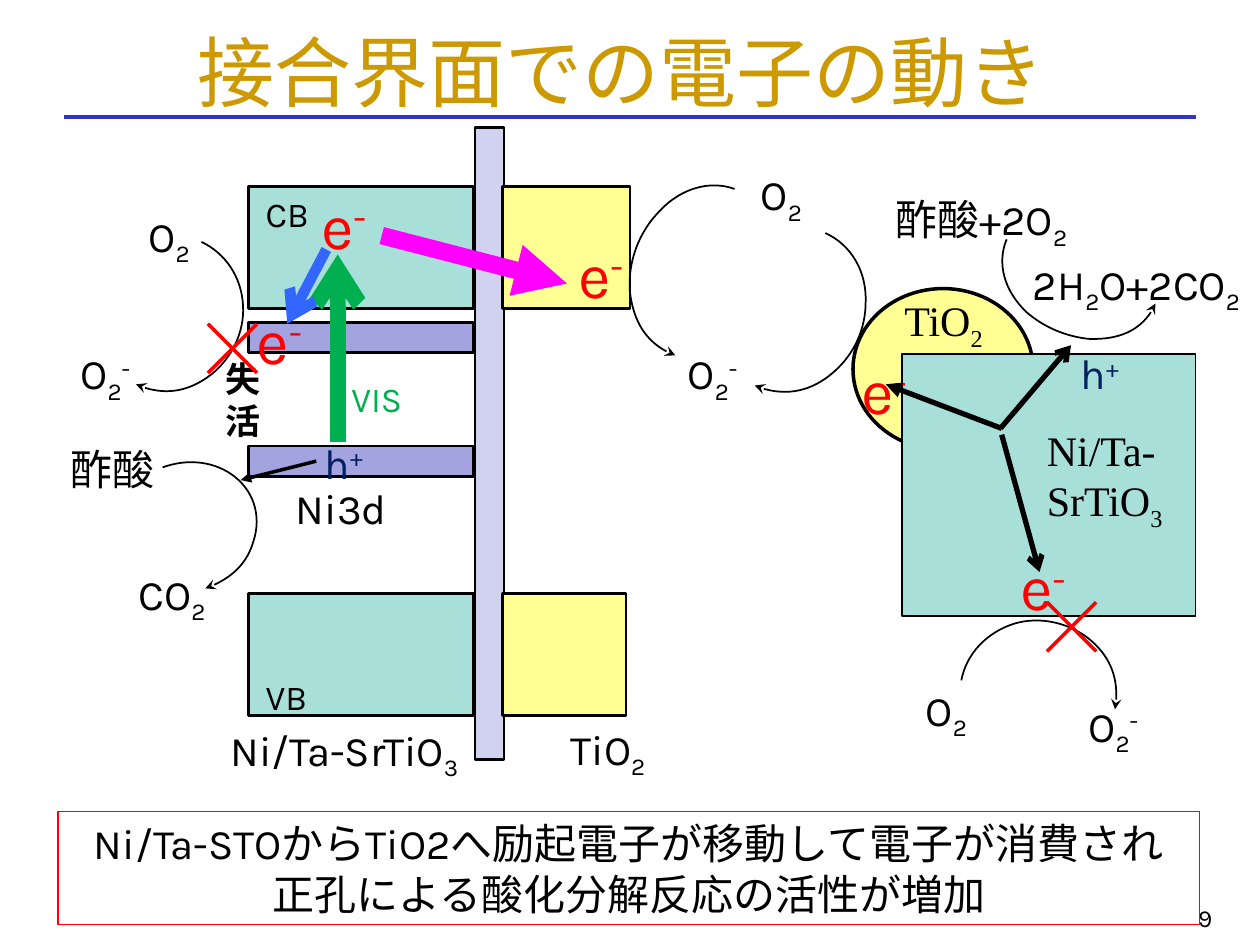
from dataclasses import dataclass
from typing import Iterator, NamedTuple

from lxml.etree import SubElement
from pptx import Presentation
from pptx.dml.color import RGBColor
from pptx.enum.shapes import MSO_CONNECTOR, MSO_SHAPE
from pptx.enum.text import MSO_ANCHOR, MSO_AUTO_SIZE, PP_ALIGN
from pptx.oxml.ns import qn
from pptx.util import Inches, Pt


@dataclass(frozen=True)
class Theme:
    black: str = "000000"
    gold: str = "CC9900"
    rule: str = "3333CC"
    teal: str = "A9DFD9"
    yellow: str = "FFFF93"
    lilac: str = "D1D1F0"
    violet: str = "A3A3E0"
    red: str = "FF0000"
    green: str = "00B050"
    magenta: str = "FF00FF"
    blue: str = "3366FF"
    navy: str = "002060"
    sans: str = "Karla"
    serif: str = "Times New Roman"
    title: int = 44
    electron: int = 36
    body: int = 24
    small: int = 20
    page: int = 14


T = Theme()


class Block(NamedTuple):
    x: float
    y: float
    w: float
    h: float
    fill: str
    weight: float = 1.5
    kind: int = MSO_SHAPE.RECTANGLE


class Label(NamedTuple):
    """Text where _x is a subscript character and ^x a superscript one."""
    x: float
    y: float
    w: float
    h: float
    text: str
    size: int = T.body
    color: str = T.black
    font: str = T.sans
    bold: bool = False
    wrap: bool = False


class Line(NamedTuple):
    start: tuple[float, float]
    end: tuple[float, float]
    color: str
    weight: float
    head: str = ""


class Curve(NamedTuple):
    """A start point followed by Bezier points in groups of three."""
    points: list[tuple[float, float]]


def rgb(color: str) -> RGBColor:
    return RGBColor.from_string(color)


def script_runs(text: str) -> Iterator[tuple[str, int]]:
    plain, chars = "", iter(text)
    for ch in chars:
        if ch in "_^":
            if plain:
                yield plain, 0
            plain = ""
            yield next(chars), -25000 if ch == "_" else 30000
        else:
            plain += ch
    if plain:
        yield plain, 0


def write(sp, label: Label, align=PP_ALIGN.LEFT, anchor=MSO_ANCHOR.TOP) -> None:
    tf = sp.text_frame
    tf.word_wrap = label.wrap
    tf.vertical_anchor = anchor
    for i, text in enumerate(label.text.split("\n")):
        p = tf.add_paragraph() if i else tf.paragraphs[0]
        p.alignment = align
        p.font.size, p.font.name = Pt(label.size), label.font
        p.font.bold, p.font.color.rgb = label.bold, rgb(label.color)
        for part, baseline in script_runs(text):
            r = p.add_run()
            r.text = part
            if baseline:
                r.font._element.set("baseline", str(baseline))


def add_label(s, label: Label, align=PP_ALIGN.LEFT, anchor=MSO_ANCHOR.TOP, grow=True):
    sp = s.shapes.add_textbox(*map(Inches, label[:4]))
    write(sp, label, align, anchor)
    sp.text_frame.auto_size = MSO_AUTO_SIZE.SHAPE_TO_FIT_TEXT if grow else MSO_AUTO_SIZE.NONE
    return sp


def add_block(s, b: Block, line: str = T.black):
    sp = s.shapes.add_shape(b.kind, *map(Inches, b[:4]))
    sp.shadow.inherit = False
    if b.fill:
        sp.fill.solid()
        sp.fill.fore_color.rgb = rgb(b.fill)
    else:
        sp.fill.background()
    sp.line.color.rgb, sp.line.width = rgb(line), Pt(b.weight)
    return sp


def stroke(sp, color: str, weight: float, head: str) -> None:
    sp.line.color.rgb, sp.line.width = rgb(color), Pt(weight)
    if head:
        SubElement(sp.line._get_or_add_ln(), qn("a:tailEnd"), type=head)


def add_line(s, n: Line) -> None:
    sp = s.shapes.add_connector(MSO_CONNECTOR.STRAIGHT, *map(Inches, n.start + n.end))
    stroke(sp, n.color, n.weight, n.head)
    SubElement(sp._element.spPr, qn("a:effectLst"))


def add_curve(s, c: Curve) -> None:
    start, *rest = [(Inches(x), Inches(y)) for x, y in c.points]
    fb = s.shapes.build_freeform(*start)
    fb.add_line_segments(rest, close=False)
    sp = fb.convert_to_shape()
    sp.shadow.inherit = False
    sp.fill.background()
    stroke(sp, T.black, 1, "stealth")
    # Join each three straight segments into one Bezier segment
    outline = sp._element.find(".//" + qn("a:path"))
    segments = outline.findall(qn("a:lnTo"))
    for i in range(0, len(segments), 3):
        bezier = SubElement(outline, qn("a:cubicBezTo"))
        for segment in segments[i:i + 3]:
            bezier.append(segment[0])
            outline.remove(segment)


def add_cross(s, x: float, y: float, size: float = 0.39) -> None:
    for y1, y2 in ((y, y + size), (y + size, y)):
        add_line(s, Line((x, y1), (x + size, y2), T.red, 2))


def electron(x: float, y: float) -> Label:
    return Label(x, y, 0.57, 0.7, "e^-", T.electron, T.red)


def hole(x: float, y: float) -> Label:
    return Label(x, y, 0.51, 0.5, "h^+", color=T.navy)


def oxygen(x: float, y: float) -> Label:
    return Label(x, y, 0.57, 0.56, "O_2")


def superoxide(x: float, y: float) -> Label:
    return Label(x, y, 0.63, 0.96, "O_2^-")


BLOCKS = [
    Block(6.77, 2.29, 1.43, 1.28, T.yellow, 2, MSO_SHAPE.OVAL),
    Block(7.16, 2.81, 2.33, 2.08, T.teal, 0.75),
    Block(3.77, 1.01, 0.23, 5.02, T.lilac),
    Block(3.99, 4.71, 0.98, 0.97, T.yellow),
    Block(3.99, 1.48, 1.01, 0.97, T.yellow),
    *(Block(1.97, y, 1.79, 0.97, T.teal) for y in (4.71, 1.48)),
    *(Block(1.97, y, 1.79, 0.24, T.violet) for y in (3.54, 2.56)),
]
LABELS = [
    Label(2.25, 3.78, 0.93, 0.5, "Ni3d"),
    Label(1.73, 5.7, 2.1, 0.56, "Ni/Ta-SrTiO_3"),
    Label(4.43, 5.69, 0.84, 0.56, "TiO_2"),
    Label(2.01, 5.31, 0.55, 0.44, "VB", T.small),
    Label(2.01, 1.48, 0.55, 0.44, "CB", T.small),
    Label(1.69, 2.79, 0.75, 0.44, "失活", T.small, bold=True),
    Label(2.69, 2.95, 0.61, 0.44, "VIS", T.small, T.green),
    Label(1, 4.46, 0.78, 0.56, "CO_2"),
    Label(0.46, 3.47, 0.96, 0.5, "酢酸", wrap=True),
    Label(8.21, 3.32, 1.13, 0.96, "Ni/Ta-\nSrTiO_3", font=T.serif),
    Label(7.08, 2.29, 0.83, 0.56, "TiO_2", font=T.serif),
    Label(7.01, 1.49, 1.8, 0.56, "酢酸+2O_2", wrap=True),
    Label(8.1, 2, 1.97, 0.56, "2H_2O+2CO_2"),
    *(electron(*at) for at in ((1.94, 2.34), (4.49, 1.82), (6.74, 2.74), (8, 4.3))),
    *(hole(*at) for at in ((2.48, 3.42), (8.48, 2.71))),
    *(oxygen(*at) for at in ((1.08, 1.62), (7.25, 5.38), (5.94, 1.29))),
    *(superoxide(*at) for at in ((0.54, 2.71), (8.54, 5.51), (5.36, 2.71))),
]
ARROWS = [
    Line((3.03, 1.87), (4.5, 2.25), T.magenta, 10, "triangle"),
    Line((2.59, 1.98), (2.28, 2.57), T.blue, 6, "arrow"),
    Line((2.51, 3.66), (1.91, 3.81), T.black, 2, "triangle"),
    Line((7.95, 3.4), (7.03, 3.05), T.black, 3, "triangle"),
    Line((7.94, 3.4), (8.5, 2.74), T.black, 3, "arrow"),
    Line((7.95, 3.45), (8.25, 4.54), T.black, 3, "arrow"),
]
CURVES = [
    Curve([(1.29, 3.71), (1.48, 3.64), (1.68, 3.66), (1.83, 3.76), (2.01, 3.88),
           (2.08, 4.09), (2.01, 4.3), (1.96, 4.47), (1.81, 4.61), (1.63, 4.67)]),
    Curve([(1.6, 1.92), (1.79, 2.01), (1.92, 2.2), (1.93, 2.43), (1.94, 2.64),
           (1.84, 2.84), (1.68, 2.97), (1.5, 3.11), (1.27, 3.14), (1.08, 3.05)]),
    Curve([(7.99, 1.9), (7.91, 2.09), (7.97, 2.31), (8.15, 2.48), (8.29, 2.6),
           (8.46, 2.67), (8.64, 2.69), (8.89, 2.7), (9.1, 2.59), (9.17, 2.41)]),
    Curve([(7.63, 5.4), (7.67, 5.19), (7.83, 5.02), (8.05, 4.95), (8.25, 4.89),
           (8.47, 4.94), (8.63, 5.06), (8.81, 5.2), (8.89, 5.42), (8.85, 5.63)]),
    Curve([(5.83, 1.5), (5.64, 1.43), (5.41, 1.49), (5.24, 1.67), (5.07, 1.84),
           (4.98, 2.08), (5, 2.32), (5.03, 2.56), (5.16, 2.75), (5.36, 2.82)]),
    Curve([(6.55, 1.85), (6.75, 1.94), (6.88, 2.15), (6.87, 2.4), (6.87, 2.61),
           (6.78, 2.81), (6.62, 2.95), (6.44, 3.11), (6.19, 3.15), (5.99, 3.06)]),
]

prs = Presentation()
prs.slide_width, prs.slide_height = Inches(10), Inches(7.5)
s = prs.slides.add_slide(prs.slide_layouts[6])

# Title, rule and page number
title = add_label(s, Label(0.67, 0.26, 8.52, 0.67, "接合界面での電子の動き", T.title, T.gold, wrap=True),
                  PP_ALIGN.CENTER, MSO_ANCHOR.BOTTOM, grow=False)
title.text_frame.margin_top = title.text_frame.margin_bottom = 0
add_line(s, Line((0.51, 0.93), (9.49, 0.93), T.rule, 2.25))
add_label(s, Label(7.64, 6.95, 2.08, 0.5, "9", T.page, wrap=True),
          PP_ALIGN.RIGHT, MSO_ANCHOR.BOTTOM, grow=False)

# Energy bands and particle
for block in BLOCKS:
    add_block(s, block)

# Excitation, labels, transfers and reactions
add_line(s, Line((2.68, 3.51), (2.68, 2.02), T.green, 9, "arrow"))
for label in [electron(2.45, 1.43), *LABELS]:
    add_label(s, label)
for arrow in ARROWS:
    add_line(s, arrow)
for curve in CURVES:
    add_curve(s, curve)
for corner in ((8.31, 4.78), (1.65, 2.57)):
    add_cross(s, *corner)

# Conclusion
summary = Label(0.46, 6.44, 9.06, 0.9,
                "Ni/Ta-STOからTiO2へ励起電子が移動して電子が消費され\n正孔による酸化分解反応の活性が増加")
write(add_block(s, Block(*summary[:4], "", 0.75), T.red), summary, PP_ALIGN.CENTER)

prs.save("out.pptx")
